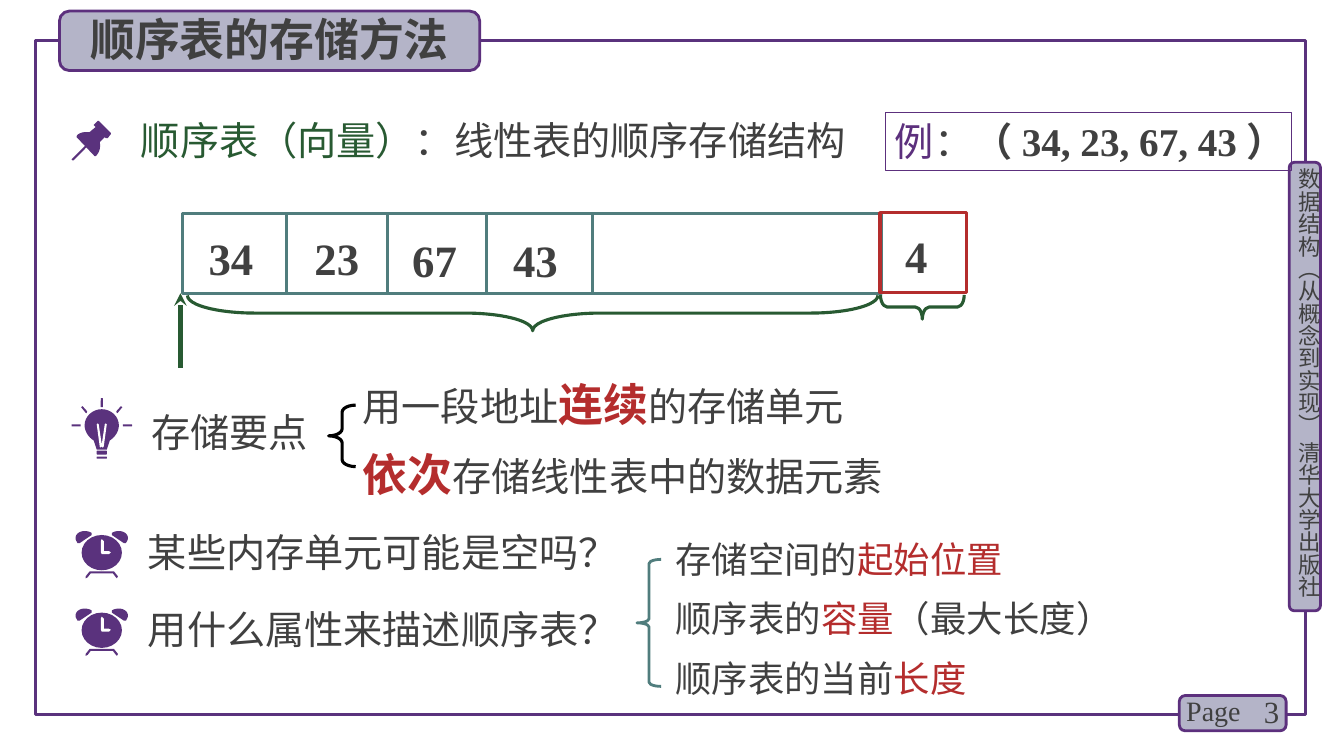
from pptx import Presentation
from pptx.dml.color import RGBColor
from pptx.enum.shapes import MSO_CONNECTOR, MSO_SHAPE
from pptx.enum.text import MSO_ANCHOR, PP_ALIGN
from pptx.oxml.ns import qn
from pptx.util import Pt
from lxml import etree

RECT, ROUNDED = MSO_SHAPE.RECTANGLE, MSO_SHAPE.ROUNDED_RECTANGLE
OVAL, BRACE = MSO_SHAPE.OVAL, MSO_SHAPE.LEFT_BRACE
STRAIGHT = MSO_CONNECTOR.STRAIGHT
TOP, MIDDLE = MSO_ANCHOR.TOP, MSO_ANCHOR.MIDDLE
LEFT, CENTER, RIGHT = PP_ALIGN.LEFT, PP_ALIGN.CENTER, PP_ALIGN.RIGHT

PURPLE = RGBColor(0x5A, 0x32, 0x7D)
VIOLET = RGBColor(0x5C, 0x30, 0x7D)
LAVENDER = RGBColor(0xB4, 0xB4, 0xC8)
GRAY = RGBColor(0x40, 0x40, 0x40)
GREEN = RGBColor(0x28, 0x5A, 0x32)
TEAL = RGBColor(0x50, 0x7D, 0x7D)
RED = RGBColor(0xB4, 0x2D, 0x2D)
BLACK = RGBColor(0, 0, 0)
WHITE = RGBColor(0xFF, 0xFF, 0xFF)
SANS, SERIF = "Noto Sans CJK SC", "Times New Roman"
ICON_UNIT = 0.72

PIN = [(39, 12), (27, 0), (26, 0), (22, 4), (24, 6), (18, 11), (15, 11),
       (11, 11, 7, 12, 5, 15), (5, 16), (23, 35), (24, 35),
       (28, 31, 29, 26, 28, 21), (33, 16), (34, 17), (36, 17), (39, 13)]
NEEDLE = [(2, 39), (1, 39), (0, 38), (1, 37), (14, 24), (15, 24), (16, 25), (15, 26)]
CLOCK_LEGS = [(42, 45), (38, 40), (14, 40), (10, 45), (10, 47), (12, 46),
              (15, 42), (37, 42), (40, 46), (41, 47)]
CLOCK_EAR = [(9, 0), (4, 0, 0, 3, 0, 7), (0, 9, 1, 10, 2, 12), (4, 12), (16, 4),
             (16, 2), (15, 1, 12, 0, 9, 0)]
CLOCK_HANDS = [(26, 23), (25, 21), (25, 10), (26, 8), (28, 10), (28, 20),
               (33, 20), (35, 21), (33, 23)]
BULB = [(30, 11), (21, 11, 13, 18, 13, 27), (13, 33, 17, 39, 22, 42), (25, 51),
        (35, 51), (38, 42), (43, 39, 47, 33, 47, 27), (47, 18, 39, 11, 30, 11)]
FILAMENT = [(32, 48), (31, 49), (30, 48), (29, 49), (28, 48), (25, 26), (26, 25),
            (27, 26), (30, 46), (33, 26), (34, 25), (35, 26)]
BULB_RAY = [(15, 15), (15.5, 13), (11, 8), (9.5, 9), (14, 14.5)]
BULB_BARS = [(29, 0, 2, 9), (0, 26, 9, 2), (51, 26, 9, 2), (25, 52, 10, 4), (25, 58, 10, 2)]


def write(frame, *paragraphs, size=28, color=GRAY, font=SANS, bold=False, align=LEFT,
          anchor=TOP, insets=(7.2, 3.6, 7.2, 3.6), wrap=True, spacing=None):
    frame.word_wrap = wrap
    frame.vertical_anchor = anchor
    (frame.margin_left, frame.margin_top,
     frame.margin_right, frame.margin_bottom) = map(Pt, insets)
    for index, parts in enumerate(paragraphs):
        paragraph = frame.add_paragraph() if index else frame.paragraphs[0]
        paragraph.alignment = align
        if spacing:
            paragraph.line_spacing = Pt(spacing)
        for part in [parts] if isinstance(parts, str) else parts:
            words, own = (part, {}) if isinstance(part, str) else part
            run = paragraph.add_run()
            run.text = words
            run.font.size = Pt(own.get("size", size))
            run.font.bold = own.get("bold", bold)
            run.font.color.rgb = own.get("color", color)
            run.font.name = own.get("font", font)
            etree.SubElement(run.font._element, qn("a:ea")).set("typeface", SANS)


def mirror(outline, width):
    return [tuple(v if i % 2 else width - v for i, v in enumerate(step)) for step in outline]


def flatten(outline):
    points = [outline[0]]
    for step in outline[1:]:
        if len(step) == 2:
            points.append(step)
            continue
        knots = [points[-1], step[:2], step[2:4], step[4:]]
        for k in range(1, 9):
            t = k / 8
            weights = ((1 - t) ** 3, 3 * t * (1 - t) ** 2, 3 * t * t * (1 - t), t ** 3)
            points.append(tuple(sum(w * p[axis] for w, p in zip(weights, knots))
                                for axis in (0, 1)))
    return points


class SlideBuilder:
    def __init__(self, slide):
        self.shapes = slide.shapes

    def paint(self, shape, fill, line, weight):
        shape.shadow.inherit = False
        if fill is None:
            shape.fill.background()
        else:
            shape.fill.solid()
            shape.fill.fore_color.rgb = fill
        if line is None:
            shape.line.fill.background()
        else:
            shape.line.color.rgb = line
            shape.line.width = Pt(weight)
        return shape

    def shape(self, kind, x, y, w, h, fill=None, line=None, weight=2.25):
        shape = self.shapes.add_shape(kind, Pt(x), Pt(y), Pt(w), Pt(h))
        return self.paint(shape, fill, line, weight)

    def brace(self, x, y, w, h, curve, color, weight=2.25, rotation=0):
        brace = self.shape(BRACE, x, y, w, h, line=color, weight=weight)
        brace.adjustments[0] = curve
        brace.rotation = rotation

    def text(self, x, y, w, h, *paragraphs, **style):
        frame = self.shapes.add_textbox(Pt(x), Pt(y), Pt(w), Pt(h)).text_frame
        write(frame, *paragraphs, **style)
        return frame

    def line(self, x1, y1, x2, y2, color, weight=2.25, head=None):
        line = self.shapes.add_connector(STRAIGHT, Pt(x1), Pt(y1), Pt(x2), Pt(y2))
        line.line.color.rgb = color
        line.line.width = Pt(weight)
        if head:
            etree.SubElement(line.line._get_or_add_ln(), qn("a:tailEnd")).set("type", head)
        etree.SubElement(line._element.spPr, qn("a:effectLst"))

    def outline(self, x, y, outline, fill=PURPLE):
        points = [(Pt(px * ICON_UNIT), Pt(py * ICON_UNIT)) for px, py in flatten(outline)]
        builder = self.shapes.build_freeform(*points[0])
        builder.add_line_segments(points[1:], close=True)
        self.paint(builder.convert_to_shape(Pt(x), Pt(y)), fill, None, 0)

    def icon_part(self, kind, x, y, box):
        left, top, width, height = (v * ICON_UNIT for v in box)
        self.shape(kind, x + left, y + top, width, height, fill=PURPLE)

    def pin(self, x, y):
        self.outline(x, y, PIN)
        self.outline(x, y, NEEDLE)

    def clock(self, x, y):
        for part in (CLOCK_LEGS, CLOCK_EAR, mirror(CLOCK_EAR, 52)):
            self.outline(x, y, part)
        self.icon_part(OVAL, x, y, (6, 4, 40, 35))
        self.outline(x, y, CLOCK_HANDS, WHITE)

    def bulb(self, x, y):
        for bar in BULB_BARS:
            self.icon_part(ROUNDED, x, y, bar)
        for part in (BULB_RAY, mirror(BULB_RAY, 60), BULB):
            self.outline(x, y, part)
        self.outline(x, y, FILAMENT, WHITE)


def main():
    deck = Presentation()
    deck.slide_width, deck.slide_height = Pt(960), Pt(540)
    page = SlideBuilder(deck.slides.add_slide(deck.slide_layouts[6]))
    red = {"color": RED}
    strong = {"color": RED, "size": 32, "bold": True}

    page.shape(RECT, 25.2, 28.8, 907.2, 481.7, line=PURPLE)
    for tab in ((920.9, 115.9, 22.3, 320.4), (842.4, 496.8, 76.3, 25.2), (42.5, 7.9, 300.2, 42.5)):
        page.shape(ROUNDED, *tab, fill=LAVENDER, line=VIOLET, weight=2)
    book = page.text(925.2, 120.2, 19.4, 323.3, "数据结构（从概念到实现） 清华大学出版社",
                     size=16, insets=(0, 0, 0, 0))
    book._txBody.bodyPr.set("vert", "eaVert")
    page.text(878.4, 493.9, 42.5, 28.8, "3", size=22, font=SERIF, align=RIGHT, anchor=MIDDLE)
    page.text(840.2, 491.8, 56.2, 31.7, "Page", size=20, font=SERIF)
    page.text(50.4, 5, 284.4, 46.1, "顺序表的存储方法", size=32, bold=True, align=CENTER)

    page.pin(51.1, 86.4)
    page.text(93.6, 79.2, 526.3, 41,
              [("顺序表（向量）", {"color": GREEN}), "：线性表的顺序存储结构"])
    example = page.shape(RECT, 632.2, 80.6, 290.2, 41, line=VIOLET, weight=0.75)
    write(example.text_frame,
          [("例", {"color": VIOLET}), "：", ("（34, 23, 67, 43）", {"font": SERIF, "bold": True})],
          insets=(7.2, 3.6, 0, 3.6))

    array_top, array_bottom = 152.6, 209.5
    page.shape(RECT, 130.3, array_top, 499, array_bottom - array_top, line=TEAL)
    for divider in (204.5, 276.5, 347.8, 423.4):
        page.line(divider, array_top, divider, array_bottom, TEAL)
    for value, x, y in (("34", 149, 161.3), ("23", 224.6, 161.3),
                        ("67", 294.5, 162.7), ("43", 366.5, 162.7)):
        page.text(x, y, 38.5, 45.4, value, size=32, font=SERIF, bold=True,
                  insets=(0, 3.6, 0, 3.6))
    length = page.shape(RECT, 628.6, 151.9, 61.9, 56.9, line=RED)
    write(length.text_frame, "4", size=32, font=SERIF, bold=True, insets=(18, 11.5, 7.2, 8.6))
    page.line(128.9, 262.8, 128.9, array_bottom, GREEN, weight=3, head="stealth")
    page.brace(367.9, -23, 25.2, 493.2, 1.91, GREEN, rotation=270)
    page.brace(650.2, 189.4, 17.3, 59.8, 0.28, GREEN, rotation=270)

    page.bulb(51.1, 284.4)
    page.text(100.8, 288, 128.2, 41, "存储要点", wrap=False)
    page.brace(234.7, 289.4, 19.4, 43.9, 0.26, BLACK)
    page.text(252, 254.2, 461.5, 108,
              ["用一段地址", ("连续", strong), "的存储单元"],
              [("依次", strong), "存储线性表中的数据元素"], spacing=50)

    for question, y in (("某些内存单元可能是空吗？", 373.7), ("用什么属性来描述顺序表？", 429.1)):
        page.clock(54, y + 5.6)
        page.text(98.6, y, 369.4, 41, question)

    page.brace(455, 399.6, 17.3, 90.7, 0.17, TEAL, weight=2)
    attributes = (["存储空间的", ("起始位置", red)],
                  ["顺序表的", ("容量", red), "（最大长度）"],
                  ["顺序表的当前", ("长度", red)])
    for row, attribute in enumerate(attributes):
        page.text(475.2, 380 + 42.6 * row, 329.8, 38.9, attribute, size=26)

    deck.save("out.pptx")


if __name__ == "__main__":
    main()
